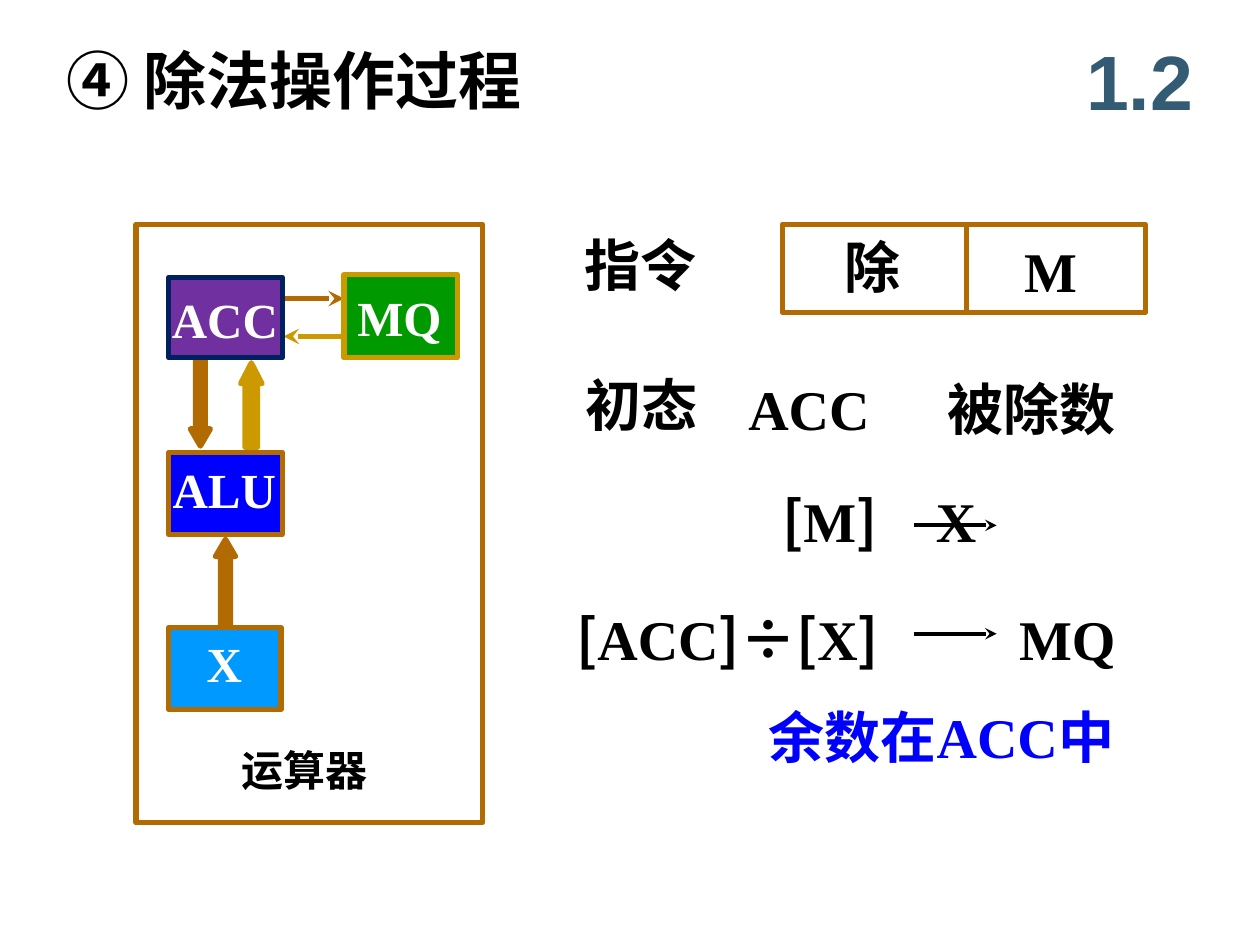
from pptx import Presentation
from pptx.dml.color import RGBColor as Rgb
from pptx.enum.shapes import MSO_CONNECTOR as Conn, MSO_SHAPE as Kind
from pptx.enum.text import MSO_ANCHOR as Anchor, PP_ALIGN as Align
from pptx.oxml.ns import qn
from pptx.util import Pt
from lxml.etree import SubElement as Sub

PX = 9144  # 100 px to the inch
HAN, ROMAN, SANS = "Noto Sans CJK SC", "Times New Roman", "Arial"
BROWN, GOLD, BLACK, WHITE, BLUE = "B26B02", "CC9900", "000000", "FFFFFF", "0000FF"

# left, top, width, height, fill, line
FRAMES = [(108, 178, 275, 475, None, BROWN), (621, 178, 288, 70, None, BROWN)]
UNITS = [
    (134, 220, 90, 64, "7030A0", "002060"),
    (273, 218, 90, 66, "009900", GOLD),
    (134, 359, 90, 65, BLUE, BROWN),
    (134, 498, 89, 65, "0099FF", BROWN),
]
# left, top, width, height, turn, colour, shaft and head ratios
BLOCKS = [
    (171, 428, 16, 69, 0, BROWN, (0.495, 0.857)),
    (151, 285, 16, 69, 180, BROWN, (0.495, 0.857)),
    (191, 288, 17, 67, 0, GOLD, (0.576, 0.97)),
]
# from x, y, to x, y, colour, weight, arrowhead
LINES = [
    (225, 237, 273, 237, BROWN, 3, True),
    (273, 267, 225, 267, GOLD, 3, True),
    (767, 177, 767, 249, BROWN, 3, False),
    (725, 417, 791, 417, BLACK, 2.25, True),
    (725, 503, 791, 503, BLACK, 2.25, True),
]
# left, top, width, height, text, fill
LABELS = [
    (136, 230, 85, 48, "ACC", "7030A0"),
    (283, 228, 68, 48, "MQ", "009900"),
    (137, 365, 82, 47, "ALU", None),
    (164, 503, 28, 47, "X", None),
]
# left, top, width, height, text parts, options
TEXTS = [
    (43, 28, 533, 70, ["④ 除法操作过程"], dict(size=36)),
    (842, 17, 125, 92, ["1.2"],
     dict(size=44, color="335B74", face=SANS, mid=True, anchor=Anchor.MIDDLE)),
    (192, 591, 101, 40, ["运算器"], dict(size=24, inset=False)),
    (443, 178, 131, 63, ["指令"], dict(mid=True)),
    (660, 180, 65, 63, ["除"], {}),
    (803, 183, 89, 63, ["M"], {}),
    (443, 289, 132, 63, ["初态"], dict(mid=True)),
    (584, 292, 362, 63, ["ACC", "\t被除数"], dict(tab=158)),
    (611, 381, 348, 63, ["[", "M", "]\t", "X"], dict(tab=122)),
    (436, 475, 283, 63, ["[", "ACC", "]÷[", "X", "]"], dict(mid=True)),
    (799, 475, 97, 63, ["MQ"], {}),
    (600, 553, 333, 63, ["余数在", "ACC", "中"], dict(color=BLUE)),
]

prs = Presentation()
prs.slide_width, prs.slide_height = 1000 * PX, 750 * PX
slide = prs.slides.add_slide(prs.slide_layouts[6])
shapes = slide.shapes


def rgb(code):
    return Rgb.from_string(code)


def at(*px):
    return [n * PX for n in px]


def paint(shape, fill, line, weight=3):
    if fill:
        shape.fill.solid()
        shape.fill.fore_color.rgb = rgb(fill)
    else:
        shape.fill.background()
    if line:
        shape.line.color.rgb = rgb(line)
        shape.line.width = Pt(weight)


def draw(kind, box, fill, line):
    shape = shapes.add_shape(kind, *at(*box))
    shape.shadow.inherit = False
    paint(shape, fill, line)
    return shape


def set_face(font, tag, face):
    font.name = face
    Sub(tag, qn("a:ea")).set("typeface", face)


def write(box, parts, size=32, color=BLACK, face=None, mid=False,
          anchor=Anchor.TOP, inset=True, tab=None, fill=None):
    shape = shapes.add_textbox(*at(*box))
    paint(shape, fill, fill, 0.75)
    frame = shape.text_frame
    frame.word_wrap = False
    frame.vertical_anchor = anchor
    if not inset:
        frame.margin_left = frame.margin_right = 0
        frame.margin_top = frame.margin_bottom = 0
    para = frame.paragraphs[0]
    para.alignment = Align.CENTER if mid else Align.LEFT
    props = para._p.get_or_add_pPr()
    if tab:
        stop = Sub(Sub(props, qn("a:tabLst")), qn("a:tab"))
        stop.set("pos", str(tab * PX))
        stop.set("algn", "l")
    font = para.font
    font.size, font.bold = Pt(size), True
    font.color.rgb = rgb(color)
    faces = [face or (ROMAN if p.isascii() and p.isalpha() else HAN) for p in parts]
    if len(parts) == 1:
        set_face(font, props.find(qn("a:defRPr")), faces[0])
    for part, name in zip(parts, faces):
        run = para.add_run()
        run.text = part
        if len(parts) > 1:
            set_face(run.font, run._r.get_or_add_rPr(), name)


def link(x1, y1, x2, y2, color, weight, head):
    line = shapes.add_connector(Conn.STRAIGHT, *at(x1, y1, x2, y2))
    line.line.color.rgb = rgb(color)
    line.line.width = Pt(weight)
    if head:
        Sub(line.line._get_or_add_ln(), qn("a:tailEnd")).set("type", "stealth")
    Sub(line._element.spPr, qn("a:effectLst"))


# Frames, then arrows, then the units over the arrow ends
for *box, fill, edge in FRAMES:
    draw(Kind.RECTANGLE, box, fill, edge)
for *box, turn, color, ratios in BLOCKS:
    arrow = draw(Kind.UP_ARROW, box, color, color)
    arrow.rotation = turn
    arrow.adjustments[0], arrow.adjustments[1] = ratios
for row in LINES:
    link(*row)
for *box, fill, edge in UNITS:
    draw(Kind.RECTANGLE, box, fill, edge)

# Unit names and running text
for *box, name, fill in LABELS:
    write(box, [name], size=28, color=WHITE, mid=True, inset=False, fill=fill)
for *box, parts, style in TEXTS:
    write(box, parts, **style)

prs.save("out.pptx")
